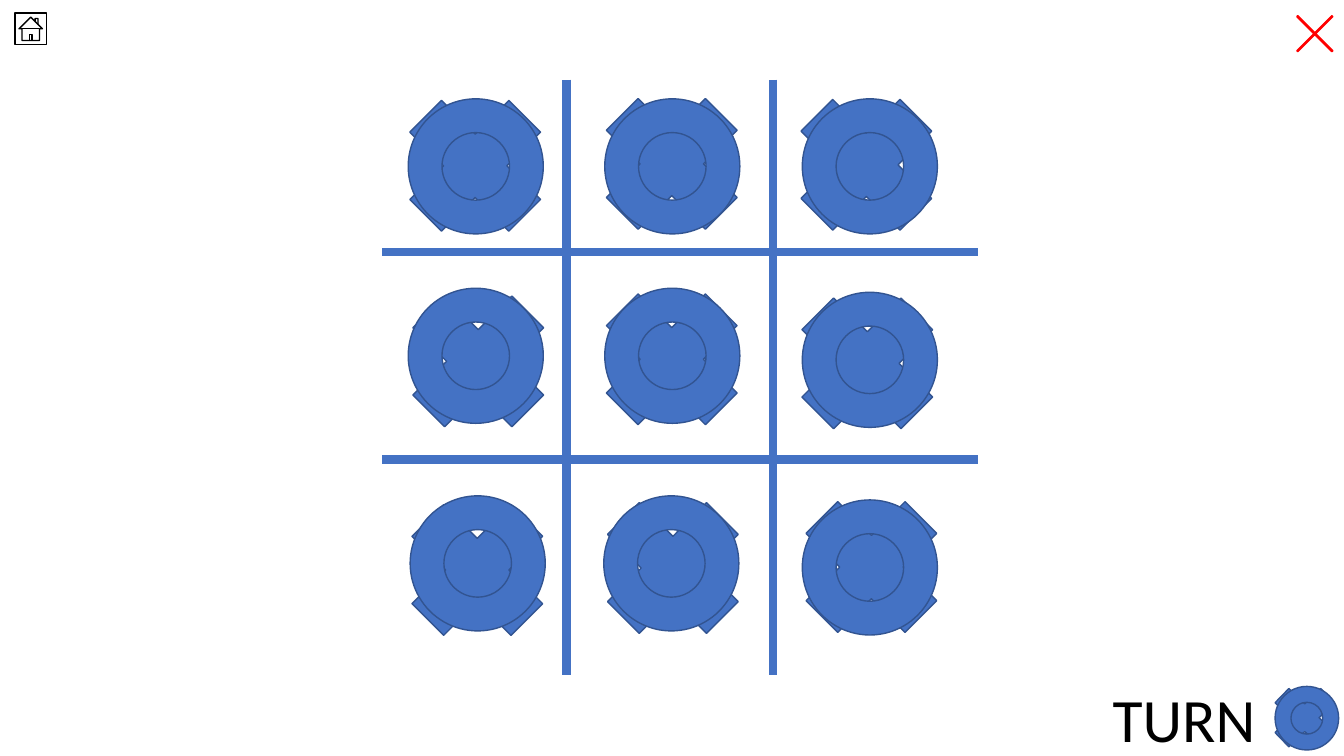
from dataclasses import dataclass
from typing import Any, Optional

from lxml import etree
from pptx import Presentation
from pptx import util as u
from pptx.dml.color import RGBColor
from pptx.enum import shapes, text
from pptx.oxml import ns

BLUE = RGBColor(0x44, 0x72, 0xC4)
DARK_BLUE = RGBColor(0x32, 0x54, 0x91)
RED = RGBColor(0xFF, 0x00, 0x00)
BLACK = RGBColor(0x00, 0x00, 0x00)

CROSS = shapes.MSO_SHAPE.MATH_MULTIPLY
NOUGHT = shapes.MSO_SHAPE.DONUT
HOME = shapes.MSO_SHAPE.ACTION_BUTTON_HOME

CROSS_SIZE = 136.1
NOUGHT_SIZE = 96.5


@dataclass
class Mark:
    kind: Any
    left: float
    top: float
    width: float
    height: float
    fill: Optional[RGBColor] = BLUE
    line: RGBColor = DARK_BLUE
    thickness: Optional[float] = None


@dataclass
class GridLine:
    x1: float
    y1: float
    x2: float
    y2: float


def apply_format(target: Any, values: dict) -> None:
    for name, value in values.items():
        setattr(target, name, value)


def draw_mark(slide: Any, mark: Mark) -> None:
    shape = slide.shapes.add_shape(
        mark.kind, u.Pt(mark.left), u.Pt(mark.top), u.Pt(mark.width), u.Pt(mark.height))
    shape.shadow.inherit = False
    if mark.fill is None:
        shape.fill.background()
    else:
        shape.fill.solid()
        shape.fill.fore_color.rgb = mark.fill
    shape.line.color.rgb = mark.line
    shape.line.width = u.Pt(1)
    if mark.thickness is not None:
        shape.adjustments[0] = mark.thickness


def draw_grid_line(slide: Any, grid_line: GridLine) -> None:
    connector = slide.shapes.add_connector(
        shapes.MSO_CONNECTOR.STRAIGHT, u.Pt(grid_line.x1), u.Pt(grid_line.y1),
        u.Pt(grid_line.x2), u.Pt(grid_line.y2))
    connector.line.color.rgb = BLUE
    connector.line.width = u.Pt(6)
    etree.SubElement(connector._element.spPr, ns.qn("a:effectLst"))


def draw_label(slide: Any, label: str) -> None:
    box = slide.shapes.add_textbox(u.Pt(787.7), u.Pt(483.1), u.Pt(193), u.Pt(60.5))
    apply_format(box.text_frame, {
        "word_wrap": True, "auto_size": text.MSO_AUTO_SIZE.SHAPE_TO_FIT_TEXT})
    run = box.text_frame.paragraphs[0].add_run()
    run.text = label
    apply_format(run.font, {"name": "Calibri", "size": u.Pt(44)})
    run.font.color.rgb = BLACK


# Left and top of the marks in the nine cells, row by row
CROSS_PLACES = [
    (271.4, 50.4), (411.8, 49), (550.8, 49.7),
    (273.6, 190.1), (411.8, 188.6), (551.5, 191.5),
    (272.9, 339.1), (412.6, 337.7), (554.4, 337),
]
NOUGHT_PLACES = [
    (291.6, 70.6), (432, 70.6), (573.1, 70.6),
    (291.6, 205.9), (432, 205.9), (573.1, 208.8),
    (293, 354.2), (431.3, 354.2), (573.1, 357.1),
]

# Board extents and dividers
BOARD_LEFT, BOARD_TOP, BOARD_SIDE = 272.9, 56.9, 425.5
COLUMN_DIVIDERS = (404.6, 552.2)
ROW_DIVIDERS = (328.3, 180)

CELL_MARKS = [
    Mark(kind, left, top, size, size)
    for kind, size, places in ((CROSS, CROSS_SIZE, CROSS_PLACES),
                               (NOUGHT, NOUGHT_SIZE, NOUGHT_PLACES))
    for left, top in places
]
GRID_LINES = [
    GridLine(x, BOARD_TOP, x, BOARD_TOP + BOARD_SIDE) for x in COLUMN_DIVIDERS
] + [
    GridLine(BOARD_LEFT, y, BOARD_LEFT + BOARD_SIDE, y) for y in ROW_DIVIDERS
]
TURN_MARKS = [
    Mark(CROSS, 900.7, 482.4, 62.6, 60.5),
    Mark(NOUGHT, 910.8, 490.3, 45.4, 45.4),
]
BUTTONS = [
    Mark(CROSS, 915.1, 0, 48.2, 48.2, RED, RED, 0.021),
    Mark(HOME, 10.8, 9.4, 22.3, 22.3, None, BLACK),
]

presentation = Presentation()
apply_format(presentation, {"slide_width": u.Pt(960), "slide_height": u.Pt(540)})
slide = presentation.slides.add_slide(presentation.slide_layouts[6])

# Turn label
draw_label(slide, "TURN")

# Crosses and noughts in the cells
for mark in CELL_MARKS:
    draw_mark(slide, mark)

# Board grid
for grid_line in GRID_LINES:
    draw_grid_line(slide, grid_line)

# Turn indicator, close and home buttons
for mark in TURN_MARKS + BUTTONS:
    draw_mark(slide, mark)

presentation.save("out.pptx")
